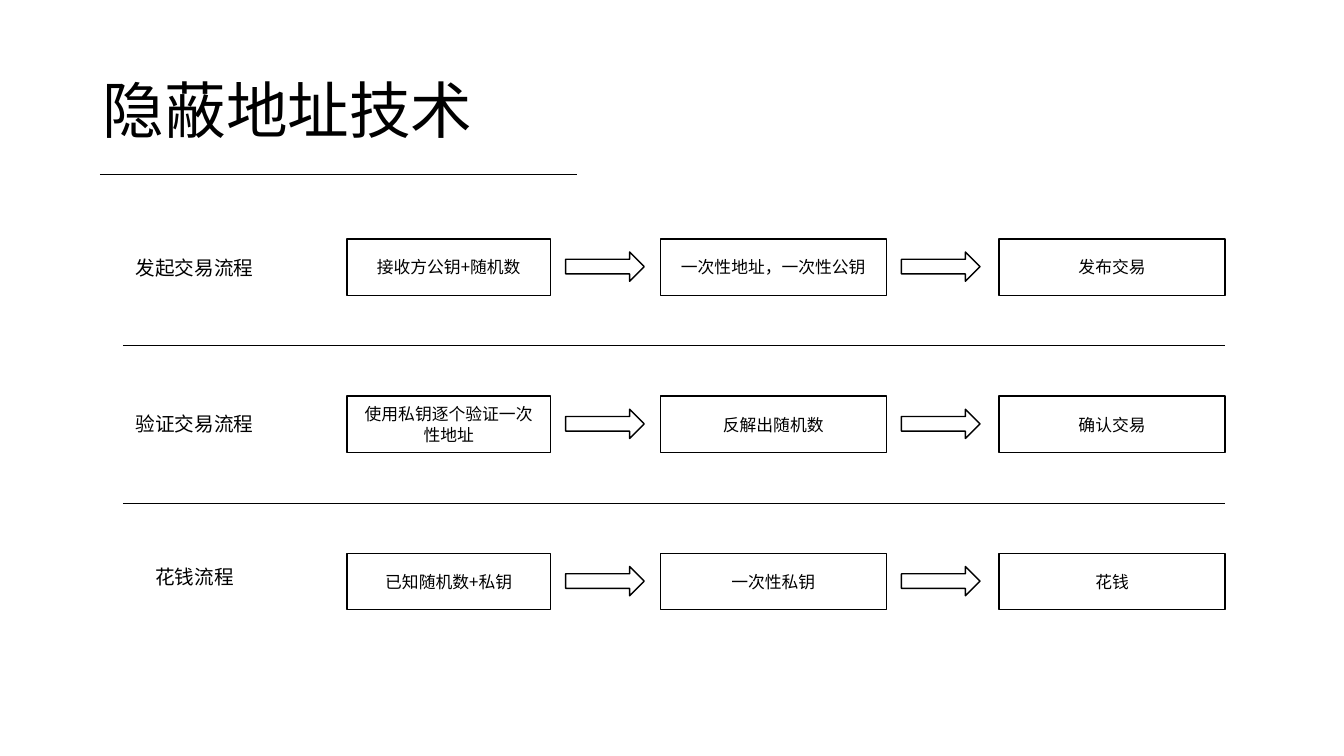
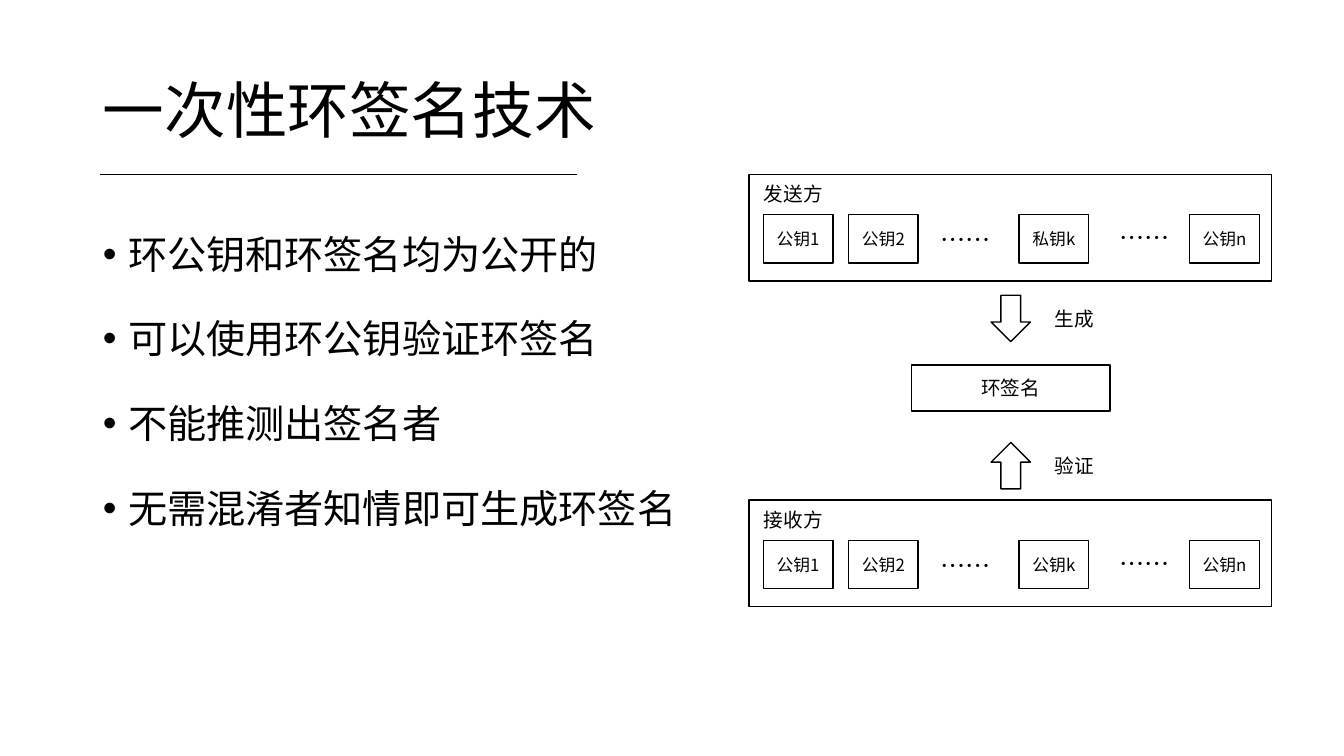
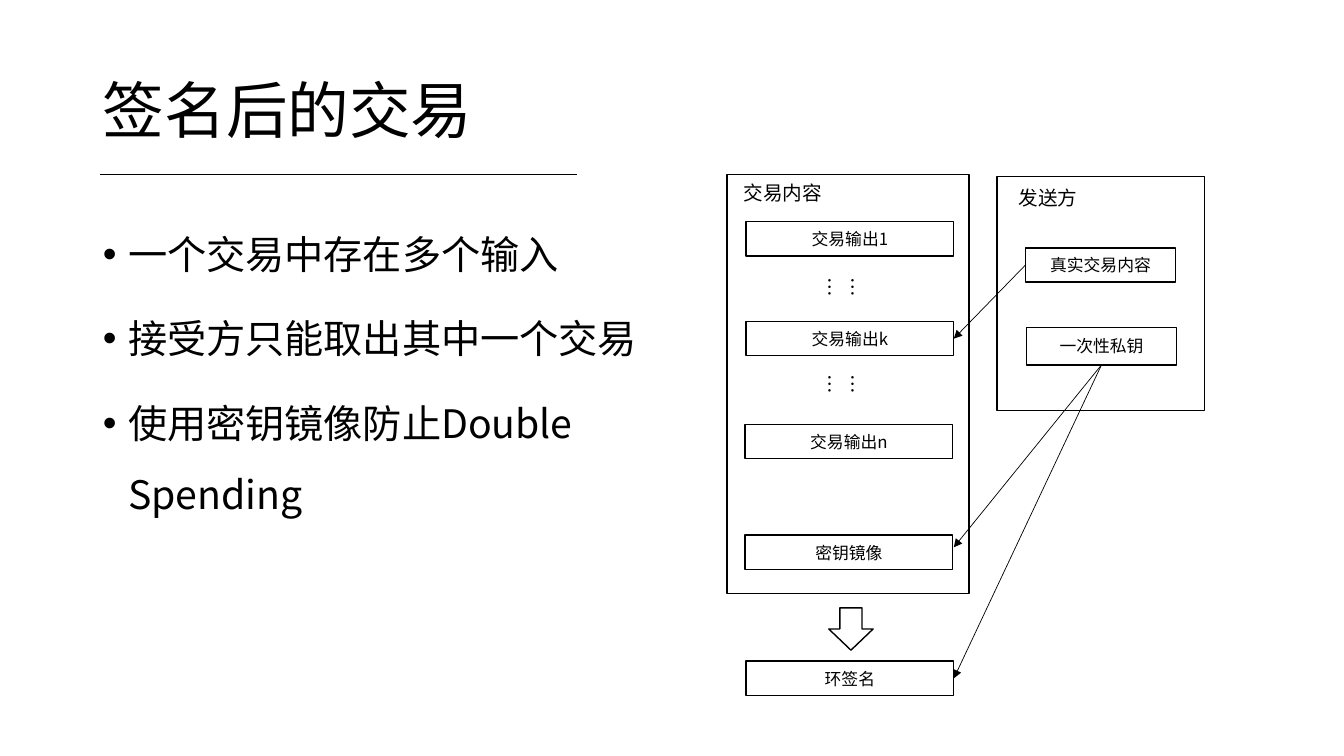
from pptx import Presentation
from pptx.dml.color import RGBColor
from pptx.enum.shapes import MSO_CONNECTOR as Line, MSO_SHAPE as Shape
from pptx.enum.text import MSO_ANCHOR as Anchor, MSO_AUTO_SIZE as AutoSize, PP_ALIGN as Align
from pptx.oxml.ns import qn
from pptx.util import Pt
from lxml import etree

# Shared style: 100 px to the inch
PX = 9144
FONT = "Noto Sans CJK SC"
BLACK, WHITE = "000000", "FFFFFF"
TITLE_ONLY, TITLE_AND_BODY = 5, 1
RIGHT, BOTTOM, LEFT = 3, 2, 1

# Content of slide 1
FLOW_TITLE = "隐蔽地址技术"
FLOWS = [  # label, label top, steps
    ("发起交易流程", 249, ["接收方公钥+随机数", "一次性地址，一次性公钥", "发布交易"]),
    ("验证交易流程", 404, ["使用私钥逐个验证一次性地址", "反解出随机数", "确认交易"]),
    ("花钱流程", 556, ["已知随机数+私钥", "一次性私钥", "花钱"]),
]
STEP_COLUMNS = [(344, 202), (655, 224), (991, 224)]  # left, width
STEP_ARROWS = [561, 894]
FLOW_TOP, FLOW_PITCH = 237, 156

# Content of slide 2
RING_TITLE = "一次性环签名技术"
RING_POINTS = ["环公钥和环签名均为公开的", "可以使用环公钥验证环签名",
               "不能推测出签名者", "无需混淆者知情即可生成环签名"]
PARTIES = [  # name, panel top, keys
    ("发送方", 173, ["公钥1", "公钥2", "私钥k", "公钥n"]),
    ("接收方", 496, ["公钥1", "公钥2", "公钥k", "公钥n"]),
]
KEY_SLOTS, KEY_PITCH = [0, 1, 3, 5], 84.6
KEY_DOTS = [(917, 45), (1095, 43)]  # left, offset from panel top
RING_ARROWS = [("生成", 300, Shape.DOWN_ARROW, 293), ("验证", 445, Shape.UP_ARROW, 439)]

# Content of slide 3
SIGNED_TITLE = "签名后的交易"
SIGNED_POINTS = ["一个交易中存在多个输入", "接受方只能取出其中一个交易",
                 "使用密钥镜像防止Double Spending"]
OUTPUTS = [  # text, left, top
    ("交易输出1", 740, 220), ("交易输出k", 740, 319), ("交易输出n", 739, 421),
    ("密钥镜像", 739, 531), ("环签名", 740, 656),
]
OUTPUT_DOTS = [265, 362]


def px(*lengths):
    return [round(length * PX) for length in lengths]


def color(hex_code):
    return RGBColor.from_string(hex_code)


def style(frame, size, align=Align.CENTER):
    for para in frame.paragraphs:
        para.alignment = align
        for span in para.runs:
            span.font.size = Pt(size)
            span.font.name = FONT
            span.font.color.rgb = color(BLACK)
            east_asian = etree.Element(qn("a:ea"), typeface=FONT)
            span.font._element.find(qn("a:latin")).addnext(east_asian)


def add_block(page, kind, left, top, width, height, text="", size=12):
    """White preset shape with a thin black outline."""
    block = page.shapes.add_shape(kind, *px(left, top, width, height))
    block.shadow.inherit = False
    block.fill.solid()
    block.fill.fore_color.rgb = color(WHITE)
    block.line.color.rgb = color(BLACK)
    block.line.width = Pt(1)
    if text:
        block.text_frame.text = text
        block.text_frame.vertical_anchor = Anchor.MIDDLE
        style(block.text_frame, size)
    return block


def add_label(page, text, left, top, width, height=34, size=14, vertical=False):
    frame = page.shapes.add_textbox(*px(left, top, width, height)).text_frame
    frame.word_wrap = True
    frame.text = text
    style(frame, size)
    if vertical:
        frame._txBody.bodyPr.set("vert", "eaVert")


def add_line(page, start, end, arrow=False):
    line = page.shapes.add_connector(Line.STRAIGHT, *px(*start, *end))
    line.line.color.rgb = color(BLACK)
    line.line.width = Pt(0.5)
    if arrow:
        etree.SubElement(line.line._get_or_add_ln(), qn("a:tailEnd"), type="triangle")
    etree.SubElement(line._element.spPr, qn("a:effectLst"))
    return line


def place(holder, left, top, width, height):
    holder.left, holder.top, holder.width, holder.height = px(left, top, width, height)


def add_page(deck, title, points=(), body_width=603):
    """Slide with the shared title, its rule and optional bullet points."""
    layout = deck.slide_layouts[TITLE_AND_BODY if points else TITLE_ONLY]
    page = deck.slides.add_slide(layout)
    heading = page.shapes.title
    place(heading, 92, 40, 1150, 145)
    frame = heading.text_frame
    frame.text = title
    frame.vertical_anchor = Anchor.MIDDLE
    frame.paragraphs[0].line_spacing = 0.9
    style(frame, 44, Align.LEFT)
    add_line(page, (99, 173), (572, 173))
    if points:
        body = page.placeholders[1]
        place(body, 92, 200, body_width, 476)
        frame = body.text_frame
        frame.text = "\n".join(points)
        frame.auto_size = AutoSize.NONE
        style(frame, 28, Align.LEFT)
        for para in frame.paragraphs:
            para.line_spacing = 1.5
            para.space_before = Pt(10)
            indent = px(25)[0]
            properties = para._p.get_or_add_pPr()
            properties.set("marL", str(indent))
            properties.set("indent", str(-indent))
    return page


def build_flows(deck):
    page = add_page(deck, FLOW_TITLE)
    for row, (label, label_top, steps) in enumerate(FLOWS):
        top = FLOW_TOP + row * FLOW_PITCH
        add_label(page, label, 92, label_top, 202)
        for (left, width), step in zip(STEP_COLUMNS, steps):
            add_block(page, Shape.RECTANGLE, left, top, width, 56, step)
        for left in STEP_ARROWS:
            add_block(page, Shape.RIGHT_ARROW, left, top + 13, 78, 29)
        if row:
            rule = top - 50
            add_line(page, (122, rule), (1215, rule))


def build_ring(deck):
    page = add_page(deck, RING_TITLE, RING_POINTS)
    # Sender and receiver panels
    for name, top, keys in PARTIES:
        add_block(page, Shape.RECTANGLE, 743, top, 518, 106)
        add_label(page, name, 739, top + 3, 96)
        for slot, key in zip(KEY_SLOTS, keys):
            left = 757 + slot * KEY_PITCH
            add_block(page, Shape.RECTANGLE, left, top + 40, 69, 48, key)
        for left, offset in KEY_DOTS:
            add_label(page, "……", left, top + offset, 81, 40, 18)
    # Ring signature between them
    add_block(page, Shape.RECTANGLE, 904, 362, 197, 46, "环签名", 14)
    for text, text_top, kind, arrow_top in RING_ARROWS:
        add_block(page, kind, 983, arrow_top, 39, 46)
        add_label(page, text, 1022, text_top, 87)


def build_signed(deck):
    page = add_page(deck, SIGNED_TITLE, SIGNED_POINTS, 592)
    # Transaction panel
    add_block(page, Shape.RECTANGLE, 721, 173, 240, 416)
    add_label(page, "交易内容", 721, 175, 111)
    outputs = {text: add_block(page, Shape.RECTANGLE, left, top, 206, 34, text)
               for text, left, top in OUTPUTS}
    for top in OUTPUT_DOTS:
        add_label(page, "……", 819, top, 44, 45, vertical=True)
    add_block(page, Shape.DOWN_ARROW, 822, 603, 44, 42)
    # Sender panel
    add_block(page, Shape.RECTANGLE, 989, 175, 206, 232)
    add_label(page, "发送方", 987, 180, 105)
    real_content = add_block(page, Shape.RECTANGLE, 1017, 246, 149, 34, "真实交易内容")
    private_key = add_block(page, Shape.RECTANGLE, 1018, 325, 149, 37, "一次性私钥")
    # Links from the sender to the transaction
    links = [
        (real_content, LEFT, (1017, 263), (946, 336), outputs["交易输出k"]),
        (private_key, BOTTOM, (1092, 362), (946, 543), None),
        (private_key, BOTTOM, (1092, 362), (946, 673), outputs["环签名"]),
    ]
    for source, side, start, end, target in links:
        link = add_line(page, start, end, arrow=True)
        link.begin_connect(source, side)
        if target:
            link.end_connect(target, RIGHT)


def main():
    deck = Presentation()
    deck.slide_width, deck.slide_height = px(1333, 750)
    build_flows(deck)
    build_ring(deck)
    build_signed(deck)
    deck.save("out.pptx")


if __name__ == "__main__":
    main()
